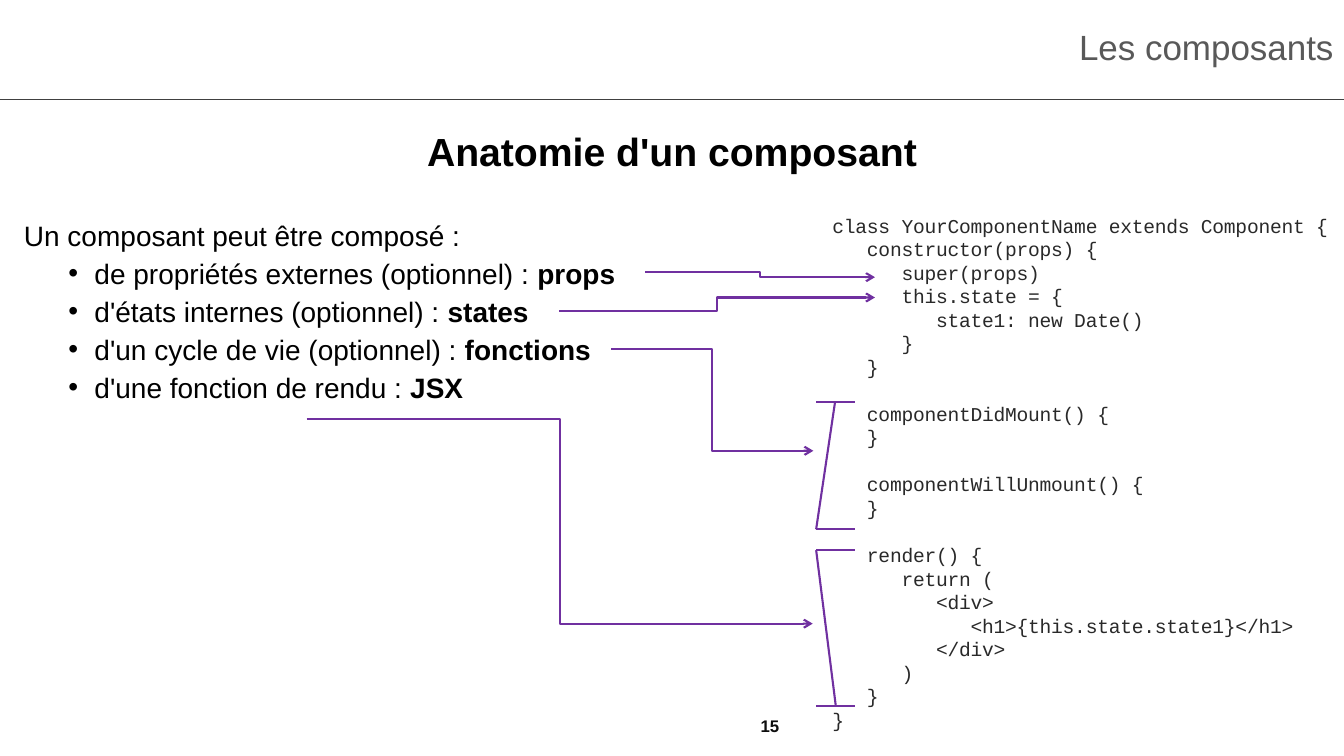
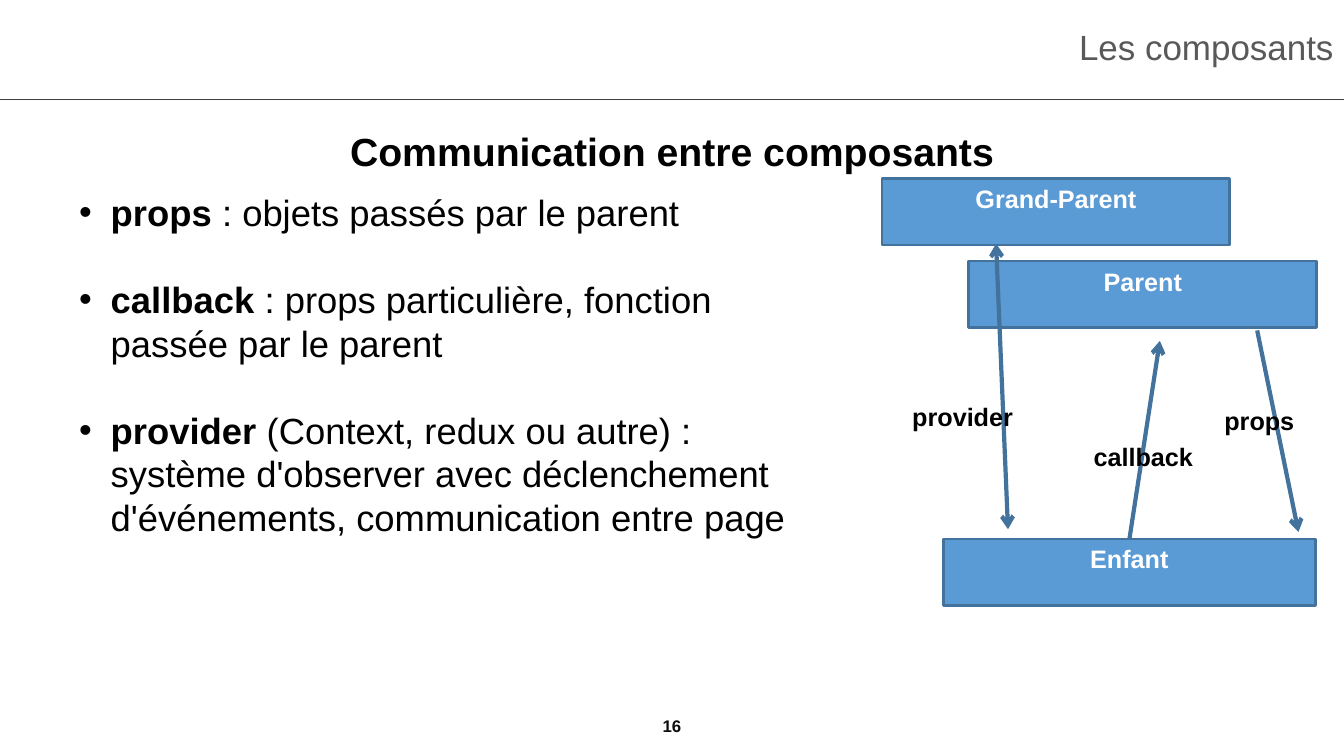
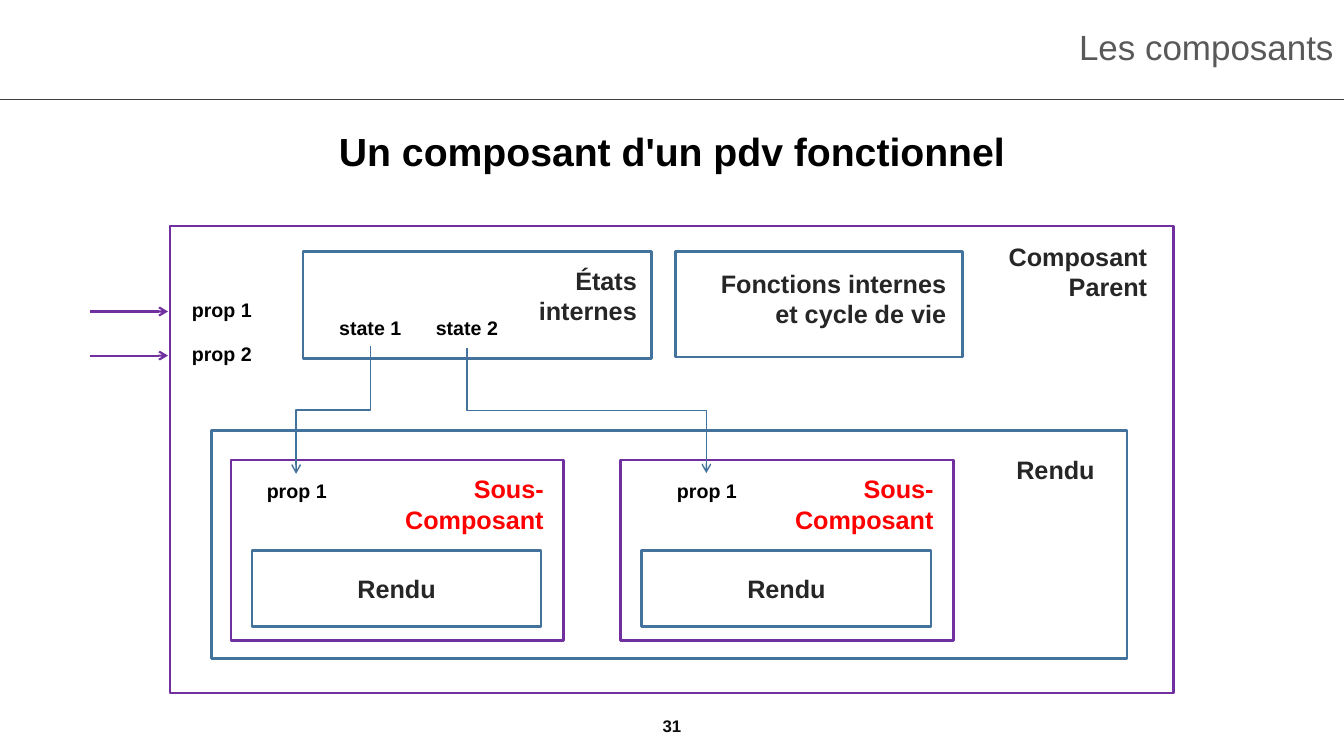
import lxml.etree
import pptx
import pptx.dml.color
import pptx.enum.shapes
import pptx.enum.text
import pptx.oxml.ns
import pptx.util

Pt = pptx.util.Pt
qn = pptx.oxml.ns.qn
ALIGN = pptx.enum.text.PP_ALIGN
MID = pptx.enum.text.MSO_ANCHOR.MIDDLE
LINK = pptx.enum.shapes.MSO_CONNECTOR
RECT = pptx.enum.shapes.MSO_SHAPE.RECTANGLE

HUES = {
    "black": "000000", "white": "FFFFFF", "head": "595959", "rule": "404040",
    "page": "0D0D0D", "code": "292929", "dark": "262626", "red": "FF0000",
    "violet": "7030A0", "blue": "43729D", "sky": "5B9BD5",
}
LEAD = 1.195  # line height for each point of text size

CODE = """class YourComponentName extends Component {
   constructor(props) {
      super(props)
      this.state = {
         state1: new Date()
      }
   }

   componentDidMount() {
   }

   componentWillUnmount() {
   }

   render() {
      return (
         <div>
            <h1>{this.state.state1}</h1>
         </div>
      )
   }
}"""


def hue(name):
    return pptx.dml.color.RGBColor.from_string(HUES[name])


def pts(*nums):
    return [Pt(n) for n in nums]


def add(par, text, size, color="black", bold=False, font="Arial"):
    run = par.add_run()
    run.text = text
    run.font.name, run.font.size, run.font.bold = font, Pt(size), bold
    run.font.color.rgb = hue(color)
    return run


def lead(par, size, ratio=1.0):
    """Fix the line height in proportion to the text size."""
    par.line_spacing = Pt(round(size * LEAD * ratio, 1))


def dot(par, left, hang):
    """Give a paragraph a round bullet with a hanging indent."""
    prop = par._p.get_or_add_pPr()
    prop.set("marL", str(Pt(left)))
    prop.set("indent", str(-Pt(hang)))
    lxml.etree.SubElement(prop, qn("a:buFont")).set("typeface", "Arial")
    lxml.etree.SubElement(prop, qn("a:buChar")).set("char", "•")


def frame(slide, box, inset=True):
    """Add a wrapping text box and return its text frame."""
    body = slide.shapes.add_textbox(*pts(*box)).text_frame
    body.word_wrap = True
    if not inset:
        body.margin_left = body.margin_right = 0
        body.margin_top = body.margin_bottom = 0
    return body


def fill(body, text, size, color="black", align=ALIGN.CENTER, bold=True, ratio=1.0):
    """Put one line of text in a text frame."""
    par = body.paragraphs[0]
    par.alignment = align
    lead(par, size, ratio)
    add(par, text, size, color, bold)


def label(slide, box, text, size, color="black", align=ALIGN.CENTER):
    fill(frame(slide, box), text, size, color, align)


def rect(slide, box, line, color="white"):
    shape = slide.shapes.add_shape(RECT, *pts(*box))
    shape.shadow.inherit = False
    shape.fill.solid()
    shape.fill.fore_color.rgb = hue(color)
    shape.line.color.rgb = hue(line)
    shape.line.width = Pt(2)
    return shape


def join(slide, start, end, color, width=1.5, kind=LINK.STRAIGHT, heads=""):
    """Draw a connector; heads names the ends with an arrow."""
    wire = slide.shapes.add_connector(kind, *pts(*start, *end))
    wire.line.color.rgb = hue(color)
    wire.line.width = Pt(width)
    line = wire.line._get_or_add_ln()
    for name in heads.split():
        lxml.etree.SubElement(line, qn("a:" + name + "End")).set("type", "arrow")
    lxml.etree.SubElement(wire._element.spPr, qn("a:effectLst"))
    return wire


def drop(slide, start, end, color):
    """Draw an elbow that leaves and arrives vertically."""
    (x, y), (u, v) = start, end
    mid, row = (x + u) / 2, (y + v) / 2
    wide, high = (v - y) / 2, abs(u - x) / 2
    right = u > x
    side = -wide if right else wide
    wire = join(slide, (mid - side, row - high), (mid + side, row + high),
                color, 1, LINK.ELBOW, "tail")
    turn = 270 if right else 90
    wire._element.spPr.find(qn("a:xfrm")).set("rot", str(turn * 60000))


def base(deck, title, page, left=372):
    """Add a slide with the shared header, subtitle and page number."""
    slide = deck.slides.add_slide(deck.slide_layouts[6])
    top = frame(slide, (0, 0, 952.5, 70), False)
    top.vertical_anchor = MID
    fill(top, "Les composants", 25, "head", ALIGN.RIGHT, False, 0.9)
    sub = frame(slide, (120, 71, 720, 76.5), False)
    sub.vertical_anchor = MID
    fill(sub, title, 28, ratio=0.9)
    join(slide, (0, 71), (960, 71), "rule", 0.75)
    foot = frame(slide, (left, 504, 216, 29))
    foot.vertical_anchor = MID
    fill(foot, page, 12, "page")
    return slide


def parts(slide, box):
    body = frame(slide, box)
    first = body.paragraphs[0]
    lead(first, 20, 1.14)
    add(first, "Un composant peut être composé :", 20)
    for text, key in (
        ("de propriétés externes (optionnel) : ", "props"),
        ("d'états internes (optionnel) : ", "states"),
        ("d'un cycle de vie (optionnel) : ", "fonctions"),
        ("d'une fonction de rendu : ", "JSX"),
    ):
        par = body.add_paragraph()
        lead(par, 20, 1.14)
        dot(par, 50.4, 18.7)
        add(par, text, 20)
        add(par, key, 20, bold=True)


def code(slide, box):
    """List the code; an empty line becomes space before the next one."""
    body = frame(slide, box)
    par, gap = body.paragraphs[0], 0
    for text in CODE.split("\n"):
        if not text:
            gap = 16.8
            continue
        par = body.add_paragraph() if par.runs else par
        par.line_spacing = Pt(16.8)
        if gap:
            par.space_before = Pt(gap)
        gap = 0
        run = add(par, text, 14, "code", font="Courier New")
        run.font._element.set("spc", "-20")


def brace(slide, box, top, end):
    """Draw two bars and the slanted line from top to end between them."""
    x, y, wide, high = box
    for row in (y, y + high):
        join(slide, (x, row), (x + wide, row), "violet")
    join(slide, (x + top, y), (x + end, y + high), "violet")


def terms(slide, box):
    body = frame(slide, box)
    par = body.paragraphs[0]
    for key, text in (
        ("props ", ": objets passés par le parent"),
        ("callback ", ": props particulière, fonction passée par le parent"),
        ("provider ", "(Context, redux ou autre) : système d'observer avec "
         "déclenchement d'événements, communication entre page"),
    ):
        if par.runs:
            par = body.add_paragraph()
            par.space_before = Pt(31.1)
        lead(par, 26)
        dot(par, 22.5, 22.5)
        add(par, key, 26, bold=True)
        add(par, text, 26)


def tree(slide, x, y):
    """Draw the family of components and the links between them."""
    def node(dx, dy, wide, text):
        shape = rect(slide, (x + dx, y + dy, wide, 47.5), "blue", "sky")
        shape.text_frame.vertical_anchor = pptx.enum.text.MSO_ANCHOR.TOP
        fill(shape.text_frame, text, 18, "white")
        return shape

    def wire(a, b, c, d, heads="tail"):
        return join(slide, (x + a, y + b), (x + c, y + d), "blue", 3, heads=heads)

    node(62, 59, 248.5, "Parent")
    child = node(44, 257.5, 265.5, "Enfant")
    wire(268, 108.5, 297.5, 252.5)
    wire(176.75, 257.5, 198.5, 116).begin_connect(child, 0)
    wire(81.5, 46.5, 90, 250.5, "head tail")
    for dx, dy, wide, text in (
        (237.5, 158.5, 72, "props"),
        (144, 184.5, 98, "callback"),
        (14.5, 155.5, 134, "provider"),
    ):
        label(slide, (x + dx, y + dy, wide, 29), text, 18, align=ALIGN.LEFT)
    node(0, 0, 248.5, "Grand-Parent")


def small(slide, x, y, text):
    label(slide, (x, y, 65, 26), text, 14)


def child(slide, x, y, prop):
    """Draw a sub-component; prop is the offset of its property."""
    rect(slide, (x, y, 237.5, 129), "violet")
    label(slide, (x + 78, y + 6.5, 152.5, 60), "Sous-Composant", 18, "red", ALIGN.RIGHT)
    small(slide, x + prop, y + 10, "prop 1")
    inner = rect(slide, (x + 15, y + 65, 206.5, 54), "blue")
    inner.text_frame.vertical_anchor = MID
    fill(inner.text_frame, "Rendu", 18, "dark")


def states(slide, x, y):
    rect(slide, (x, y, 249, 76.5), "blue")
    label(slide, (x + 123.5, y + 6.5, 122, 55), "États internes", 18, "dark", ALIGN.RIGHT)
    small(slide, x + 15.5, y + 42.5, "state 1")
    small(slide, x + 84.5, y + 43, "state 2")


def render(slide, x, y):
    rect(slide, (x, y, 654, 163), "blue")
    label(slide, (x + 515.5, y + 13.5, 122.5, 55), "Rendu", 18, "dark", ALIGN.RIGHT)
    child(slide, x + 14, y + 21, 14.5)
    child(slide, x + 292.5, y + 21, 29)


def whole(slide, x, y):
    """Draw the parent component with all that it holds."""
    rect(slide, (x, y, 717, 333.5), "violet")
    for row, text in ((61, "prop 1"), (92.5, "prop 2")):
        join(slide, (x - 57.5, y + row), (x - 1.5, y + row), "violet", heads="tail")
        small(slide, x + 4.5, y + row - 13, text)
    label(slide, (x + 552.5, y + 7.5, 152.5, 60), "Composant Parent", 18, "dark", ALIGN.RIGHT)
    states(slide, x + 95, y + 18)
    render(slide, x + 29.5, y + 146)
    drop(slide, (x + 143, y + 86), (x + 90, y + 177), "blue")
    drop(slide, (x + 212, y + 87), (x + 383, y + 176.5), "blue")
    rect(slide, (x + 361, y + 18, 205, 75.5), "blue")
    label(slide, (x + 383.5, y + 26.5, 178, 55), "Fonctions internes et cycle de vie",
          18, "dark", ALIGN.RIGHT)


def main():
    deck = pptx.Presentation()
    deck.slide_width, deck.slide_height = pts(960, 540)

    slide = base(deck, "Anatomie d'un composant", "15", 442)
    parts(slide, (10, 149, 565, 145))
    code(slide, (587.5, 149, 372.5, 390))
    for start, end in (
        ((461, 194.5), (625, 198)),
        ((399.5, 222), (625, 212.5)),
        ((436.5, 249.5), (581, 322)),
        ((219, 299), (580.5, 445.5)),
    ):
        join(slide, start, end, "violet", kind=LINK.ELBOW, heads="tail")
    brace(slide, (583, 287, 28, 91), 13.5, 0)
    brace(slide, (583, 393, 28, 111), 0, 14)

    slide = base(deck, "Communication entre composants", "16")
    terms(slide, (49.5, 132.5, 544.5, 290))
    tree(slide, 630, 127.5)

    slide = base(deck, "Un composant d'un pdv fonctionnel", "31")
    whole(slide, 121.5, 161.5)
    deck.save("out.pptx")


if __name__ == "__main__":
    main()
